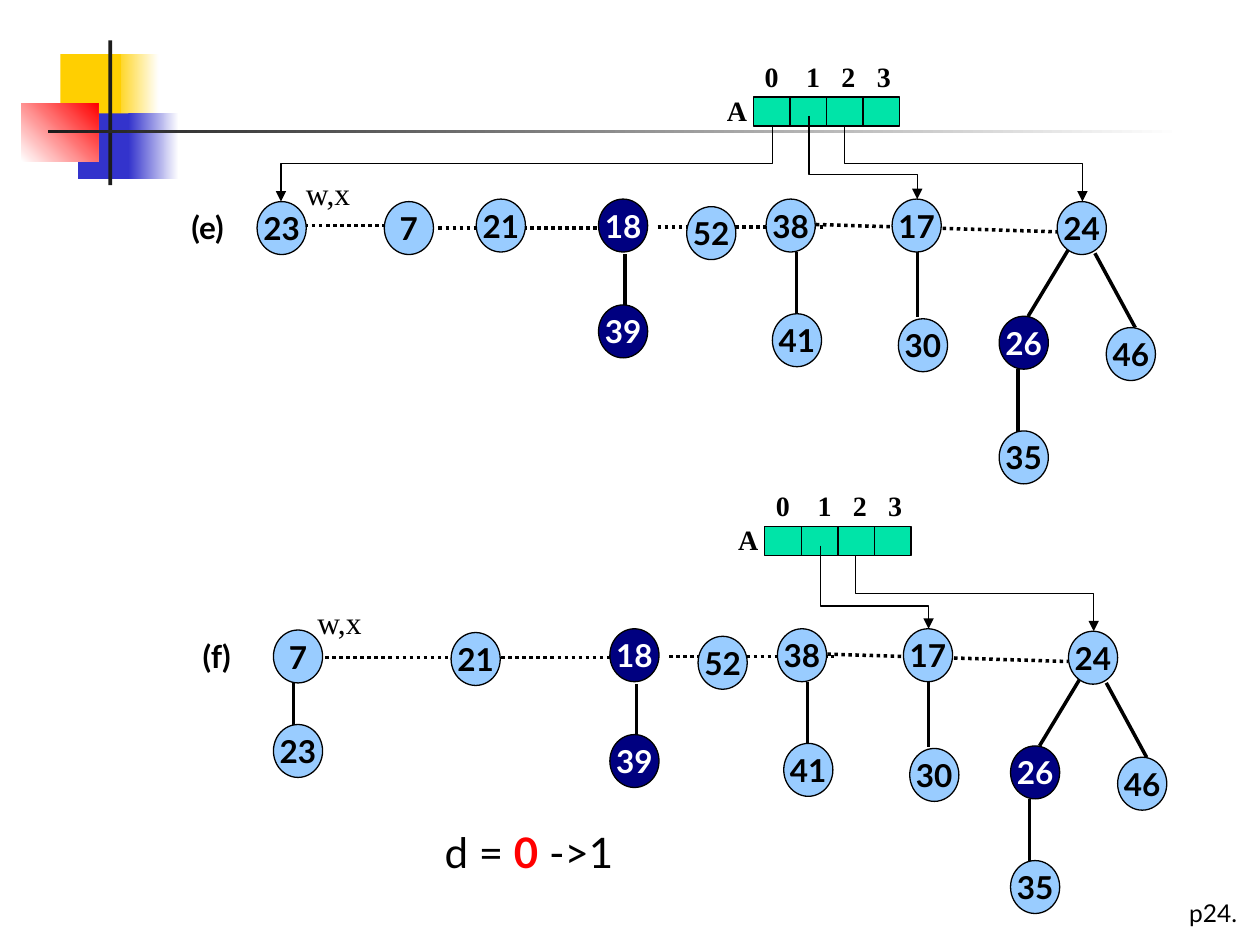
from lxml import etree
from pptx import Presentation
from pptx.dml.color import RGBColor
from pptx.enum.dml import MSO_LINE
from pptx.enum.shapes import MSO_CONNECTOR as CONN, MSO_SHAPE as SHAPE
from pptx.enum.text import MSO_ANCHOR, MSO_AUTO_SIZE, PP_ALIGN
from pptx.oxml.ns import qn
from pptx.util import Inches, Pt

BLACK = RGBColor(0x00, 0x00, 0x00)
WHITE = RGBColor(0xFF, 0xFF, 0xFF)
RED = RGBColor(0xFF, 0x00, 0x00)
YELLOW = RGBColor(0xFF, 0xCF, 0x01)
BLUE = RGBColor(0x33, 0x33, 0xCC)
CHARCOAL = RGBColor(0x1C, 0x1C, 0x1C)
GREEN = RGBColor(0x00, 0xE4, 0xA8)
SKY = RGBColor(0x99, 0xCC, 0xFF)
NAVY = RGBColor(0x00, 0x00, 0x80)
SANS, SERIF = "Lato", "Times New Roman"


class Board:
    """Draws on the current slide; positions are shifted by (dx, dy)."""

    def __init__(self, slide):
        self.s = slide
        self.dx = self.dy = 0

    def shape(self, kind, x, y, w, h, color, line=None):
        sp = self.s.shapes.add_shape(kind, Inches(x + self.dx), Inches(y + self.dy),
                                     Inches(w), Inches(h))
        sp.shadow.inherit = False
        sp.fill.solid()
        sp.fill.fore_color.rgb = color
        if line is None:
            sp.line.fill.background()
        else:
            sp.line.color.rgb = line
            sp.line.width = Pt(0.75)
        return sp

    def fade(self, x, y, w, h, start, end, angle=0):
        sp = self.shape(SHAPE.RECTANGLE, x, y, w, h, start)
        sp.fill.gradient()
        sp.fill.gradient_angle = angle
        for stop, color, pos in zip(sp.fill.gradient_stops, (start, end), (0, 1)):
            stop.color.rgb = color
            stop.position = pos

    def run(self, p, text, size, font=SANS, color=BLACK, bold=False):
        r = p.add_run()
        r.text = text
        r.font.size = Pt(size)
        r.font.name = font
        r.font.bold = bold
        r.font.color.rgb = color

    def text(self, x, y, w, h, runs, tabs=()):
        tb = self.s.shapes.add_textbox(Inches(x + self.dx), Inches(y + self.dy),
                                       Inches(w), Inches(h))
        tf = tb.text_frame
        tf.word_wrap = bool(tabs)
        tf.auto_size = MSO_AUTO_SIZE.SHAPE_TO_FIT_TEXT
        p = tf.paragraphs[0]
        if tabs:
            tab_list = etree.SubElement(p._p.get_or_add_pPr(), qn("a:tabLst"))
            for pos in tabs:
                etree.SubElement(tab_list, qn("a:tab"), pos=str(Inches(pos)), algn="l")
        for args in runs:
            self.run(p, *args)

    def node(self, key, x, y, marked=False):
        sp = self.shape(SHAPE.OVAL, x, y, 0.39, 0.42, NAVY if marked else SKY, BLACK)
        tf = sp.text_frame
        tf.word_wrap = False
        tf.vertical_anchor = MSO_ANCHOR.MIDDLE
        p = tf.paragraphs[0]
        p.alignment = PP_ALIGN.CENTER
        self.run(p, str(key), 18, color=WHITE if marked else BLACK, bold=True)

    def line(self, x1, y1, x2, y2, width=2, dotted=False, kind=CONN.STRAIGHT):
        c = self.s.shapes.add_connector(kind, Inches(x1 + self.dx), Inches(y1 + self.dy),
                                        Inches(x2 + self.dx), Inches(y2 + self.dy))
        c.line.color.rgb = BLACK
        c.line.width = Pt(width)
        if dotted:
            c.line.dash_style = MSO_LINE.ROUND_DOT
        etree.SubElement(c._element.spPr, qn("a:effectLst"))
        return c

    def elbow(self, x1, y1, x2, y2, bend=0.5):
        """Arrow that goes down, across and down: a turned elbow connector."""
        w, h = y2 - y1, abs(x2 - x1)
        left, top = (x1 + x2 - w) / 2, (y1 + y2 - h) / 2
        ends = (left, left + w)
        rightward = x2 > x1
        if rightward:
            ends = ends[::-1]
        c = self.line(ends[0], top, ends[1], top + h, 0.75, kind=CONN.ELBOW)
        sp_pr = c._element.spPr
        sp_pr.find(qn("a:xfrm")).set("rot", str((270 if rightward else 90) * 60000))
        guides = sp_pr.find(qn("a:prstGeom")).find(qn("a:avLst"))
        etree.SubElement(guides, qn("a:gd"), name="adj1", fmla=f"val {round(bend * 100000)}")
        etree.SubElement(c.line._get_or_add_ln(), qn("a:tailEnd"), type="triangle")

    def array(self):
        for i in range(4):
            self.shape(SHAPE.RECTANGLE, 5.98 + 0.29 * i, 0.77, 0.29, 0.23, GREEN, BLACK)
        self.text(5.97, 0.42, 1.38, 0.37, [("0\t1\t2\t3", 16, SERIF, BLACK, True)],
                  tabs=(0.33, 0.61, 0.89))
        self.text(5.67, 0.69, 0.36, 0.37, [("A", 16, SERIF, BLACK, True)])

    def heap(self, label, bend):
        """The part of the heap that both steps share."""
        self.array()
        self.text(1.42, 1.6, 0.58, 0.4, [(label, 18, SANS, BLACK, True)])
        self.text(2.33, 1.33, 0.57, 0.4, [("w,x", 18, SERIF)])
        for ends in ROOT_LINKS:
            self.line(*ends, dotted=True)
        for ends in TREE_EDGES:
            self.line(*ends)
        for node in NODES:
            self.node(*node)
        self.line(6.42, 0.92, 6.42, 1, 0.75)
        self.elbow(6.42, 1, 7.28, 1.58, bend)
        self.elbow(6.7, 1, 8.59, 1.6)


ROOT_LINKS = [(5.22, 1.8, 6.53, 1.8), (6.42, 1.78, 8.39, 1.84)]
TREE_EDGES = [
    (4.96, 2.02, 4.96, 2.43), (6.32, 2, 6.32, 2.5), (7.28, 1.98, 7.28, 2.52),
    (8.48, 1.98, 8.16, 2.51), (8.69, 2.01, 9.01, 2.6), (8.08, 2.93, 8.08, 3.43),
]
NODES = [
    (24, 8.39, 1.6), (26, 7.93, 2.51, True), (46, 8.78, 2.6), (35, 7.93, 3.42),
    (39, 4.75, 2.42, True), (18, 4.75, 1.58, True), (41, 6.13, 2.49),
    (38, 6.08, 1.58), (30, 7.13, 2.53), (17, 7.08, 1.58), (52, 5.45, 1.64),
]


def main():
    prs = Presentation()
    prs.slide_width, prs.slide_height = Inches(10), Inches(7.5)
    b = Board(prs.slides.add_slide(prs.slide_layouts[6]))

    # Corner decoration and page number
    b.fade(0.9, 0.43, 0.36, 0.52, YELLOW, WHITE)
    b.shape(SHAPE.RECTANGLE, 0.48, 0.43, 0.48, 0.52, YELLOW)
    b.shape(SHAPE.RECTANGLE, 0.62, 0.9, 0.46, 0.52, BLUE)
    b.fade(1.02, 0.9, 0.4, 0.52, BLUE, WHITE)
    b.fade(0.17, 0.82, 0.61, 0.46, WHITE, RED, angle=45)
    b.shape(SHAPE.RECTANGLE, 0.86, 0.32, 0.03, 1.15, CHARCOAL)
    b.fade(0.38, 1.03, 9, 0.03, CHARCOAL, WHITE)
    b.text(9.34, 7.08, 0.66, 0.33, [("p24.", 14)])

    # Step (e): 23 and 7 are separate roots
    b.line(2.42, 1.79, 3.05, 1.79, dotted=True)
    b.line(3.48, 1.81, 4.75, 1.81, dotted=True)
    b.heap("(e)", bend=0.66)
    b.node(23, 2.04, 1.6)
    b.node(7, 3.05, 1.6)
    b.node(21, 3.78, 1.58)
    b.elbow(6.13, 1, 2.23, 1.6)

    # Step (f): 23 hangs under 7
    b.line(2.58, 5.22, 4.84, 5.22, dotted=True)
    b.line(2.33, 5.42, 2.33, 5.75)
    b.node(23, 2.17, 5.75)
    b.node(7, 2.17, 5)
    b.node(21, 3.58, 5.02)
    b.dx, b.dy = 0.09, 3.41
    b.heap("(f)", bend=0.69)
    b.dx = b.dy = 0

    # Degree counter
    b.text(3.43, 6.51, 1.72, 0.5,
           [("d = ", 24), ("0", 24, SANS, RED, True), (" ->1", 24)])

    prs.save("out.pptx")


if __name__ == "__main__":
    main()
